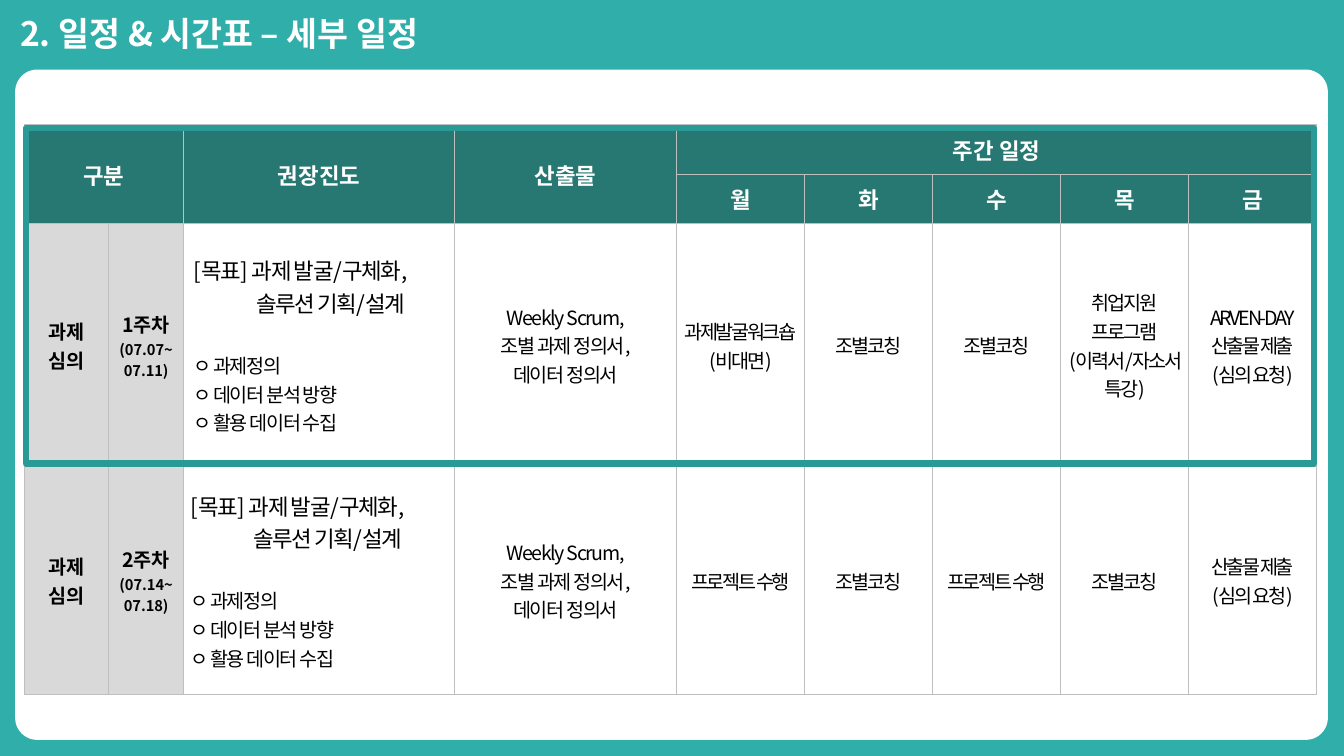
from dataclasses import dataclass

from lxml import etree
from pptx import Presentation
from pptx.dml.color import RGBColor
from pptx.enum.shapes import MSO_SHAPE
from pptx.enum.text import MSO_ANCHOR, MSO_AUTO_SIZE, PP_ALIGN
from pptx.oxml.ns import qn
from pptx.shapes.autoshape import Shape
from pptx.slide import Slide
from pptx.table import Table, _Cell
from pptx.text.text import _Paragraph
from pptx.util import Pt

PX = 9144  # 100 px to the inch
FONT = "Noto Sans CJK KR"
LEFT, CENTER = PP_ALIGN.LEFT, PP_ALIGN.CENTER
MIDDLE = MSO_ANCHOR.MIDDLE
NO_AUTOFIT = MSO_AUTO_SIZE.NONE
RECT, ROUND_RECT = MSO_SHAPE.RECTANGLE, MSO_SHAPE.ROUNDED_RECTANGLE

WHITE, BLACK = "FFFFFF", "000000"
TEAL, HEADER, FRAME = "30AEAA", "277872", "2A9A97"
LABEL, GRID = "D9D9D9", "BFBFBF"

COLUMNS = [84, 74, 269, 220] + [127] * 5
ROWS = [49, 49, 241, 226]
WIDE, NARROW = (10, 5), (7, 0)  # cell margins: sides, top and bottom


@dataclass
class Line:
    text: str
    size: float = 14
    bold: bool = False
    color: str = BLACK
    spacing: float = 0
    align: PP_ALIGN = CENTER
    indent: int = 0
    before: float = 0


@dataclass
class Entry:
    row: int
    col: int
    lines: list[Line]
    fill: str | None = None
    margins: tuple[int, int] = WIDE
    rows: int = 1
    cols: int = 1


@dataclass
class Week:
    name: str
    dates: tuple[str, str]
    days: list[list[str]]
    margins: list[tuple[int, int]]  # progress, output, then the five days


WEEKS = [
    Week("1주차", ("(07.07~", "07.11)"),
         [["과제발굴워크숍", "(비대면)"], ["조별코칭"], ["조별코칭"],
          ["취업지원", "프로그램", "(이력서/자소서 특강)"],
          ["ARVEN-DAY", "산출물 제출", "(심의 요청)"]],
         [WIDE, WIDE] + [NARROW] * 4 + [WIDE]),
    Week("2주차", ("(07.14~", "07.18)"),
         [["프로젝트 수행"], ["조별코칭"], ["프로젝트 수행"], ["조별코칭"],
          ["산출물 제출", "(심의 요청)"]],
         [NARROW] * 7),
]
OUTPUTS = ["Weekly Scrum,", "조별 과제 정의서,", "데이터 정의서"]
PROGRESS = [
    Line("[목표] 과제 발굴/구체화,", 16, spacing=-1, align=LEFT),
    Line("솔루션 기획/설계", 16, spacing=-1, align=LEFT, indent=62),
    Line("ㅇ 과제정의", spacing=-1, align=LEFT, before=23),
    Line("ㅇ 데이터 분석 방향", spacing=-1, align=LEFT),
    Line("ㅇ 활용 데이터 수집", spacing=-1, align=LEFT),
]


def rgb(color: str) -> RGBColor:
    return RGBColor.from_string(color)


def write_line(p: _Paragraph, line: Line) -> None:
    p.text = line.text
    p.alignment = line.align
    if line.before:
        p.space_before = Pt(line.before)
    font = p.font
    font.size, font.bold, font.name = Pt(line.size), line.bold, FONT
    font.color.rgb = rgb(line.color)
    props = p._p.pPr
    if line.indent:
        props.set("marL", str(line.indent * PX))
        props.set("indent", "0")
    defaults = props.find(qn("a:defRPr"))
    defaults.set("spc", str(round(line.spacing * 100)))
    etree.SubElement(defaults, qn("a:ea"), typeface=FONT)


def add_borders(cell: _Cell) -> None:
    props = cell._tc.get_or_add_tcPr()
    for side in ("lnL", "lnR", "lnT", "lnB"):
        ln = etree.SubElement(props, qn(f"a:{side}"), w=str(Pt(1)))
        fill = etree.SubElement(ln, qn("a:solidFill"))
        etree.SubElement(fill, qn("a:srgbClr"), val=GRID)


def fill_entry(table: Table, entry: Entry) -> None:
    cell = table.cell(entry.row, entry.col)
    if entry.rows * entry.cols > 1:
        cell.merge(table.cell(entry.row + entry.rows - 1, entry.col + entry.cols - 1))
    cell.vertical_anchor = MIDDLE
    side, end = entry.margins
    cell.margin_left = cell.margin_right = side * PX
    cell.margin_top = cell.margin_bottom = end * PX
    if entry.fill:
        cell.fill.solid()
        cell.fill.fore_color.rgb = rgb(entry.fill)
    else:
        cell.fill.background()
    tf = cell.text_frame
    for i, line in enumerate(entry.lines):
        write_line(tf.paragraphs[0] if i == 0 else tf.add_paragraph(), line)


def header(row: int, col: int, text: str, rows: int = 1, cols: int = 1) -> Entry:
    return Entry(row, col, [Line(text, 16, True, WHITE)], HEADER, rows=rows, cols=cols)


def header_entries() -> list[Entry]:
    top = [header(0, 0, "구분", 2, 2), header(0, 2, "권장진도", 2),
           header(0, 3, "산출물", 2), header(0, 4, "주간 일정", cols=5)]
    return top + [header(1, col, day) for col, day in enumerate("월화수목금", 4)]


def week_entries(row: int, week: Week) -> list[Entry]:
    stage = [Line(text, bold=True) for text in ("과제", "심의")]
    name = [Line(week.name, bold=True)]
    name += [Line(date, 10.5, True) for date in week.dates]
    contents = [PROGRESS, [Line(text, spacing=-1) for text in OUTPUTS]]
    contents += [[Line(text, spacing=-1.7) for text in day] for day in week.days]
    entries = [Entry(row, 0, stage, LABEL), Entry(row, 1, name, LABEL)]
    for col, (lines, margins) in enumerate(zip(contents, week.margins), 2):
        entries.append(Entry(row, col, lines, margins=margins))
    return entries


def add_title(slide: Slide) -> None:
    sp = slide.shapes.title
    sp.left, sp.top, sp.width, sp.height = (v * PX for v in (10, 8, 506, 50))
    tf = sp.text_frame
    tf.word_wrap = False
    tf.auto_size = NO_AUTOFIT
    tf.vertical_anchor = MIDDLE
    write_line(tf.paragraphs[0],
               Line("2. 일정 & 시간표 – 세부 일정", 24, True, WHITE, align=LEFT))


def add_box(slide: Slide, kind: MSO_SHAPE, x: int, y: int, w: int, h: int) -> Shape:
    sp = slide.shapes.add_shape(kind, x * PX, y * PX, w * PX, h * PX)
    sp.shadow.inherit = False
    return sp


def add_schedule(slide: Slide) -> None:
    frame = slide.shapes.add_table(len(ROWS), len(COLUMNS), 24 * PX, 124 * PX,
                                   sum(COLUMNS) * PX, sum(ROWS) * PX)
    table = frame.table
    table.first_row = table.horz_banding = False
    for column, width in zip(table.columns, COLUMNS):
        column.width = width * PX
    for row, height in zip(table.rows, ROWS):
        row.height = height * PX
    for cell in table.iter_cells():
        add_borders(cell)
    entries = header_entries()
    for row, week in enumerate(WEEKS, 2):
        entries += week_entries(row, week)
    for entry in entries:
        fill_entry(table, entry)


def main() -> None:
    prs = Presentation()
    prs.slide_width, prs.slide_height = 1333 * PX, 750 * PX
    slide = prs.slides.add_slide(prs.slide_layouts[5])
    slide.background.fill.solid()
    slide.background.fill.fore_color.rgb = rgb(TEAL)
    add_title(slide)

    panel = add_box(slide, ROUND_RECT, 15, 69, 1302, 665)
    panel.adjustments[0] = 0.033
    panel.fill.solid()
    panel.fill.fore_color.rgb = rgb(WHITE)
    panel.line.fill.background()

    add_schedule(slide)

    highlight = add_box(slide, RECT, 26, 127, 1277, 333)
    highlight.fill.background()
    highlight.line.color.rgb = rgb(FRAME)
    highlight.line.width = Pt(4.5)
    prs.save("out.pptx")


if __name__ == "__main__":
    main()
